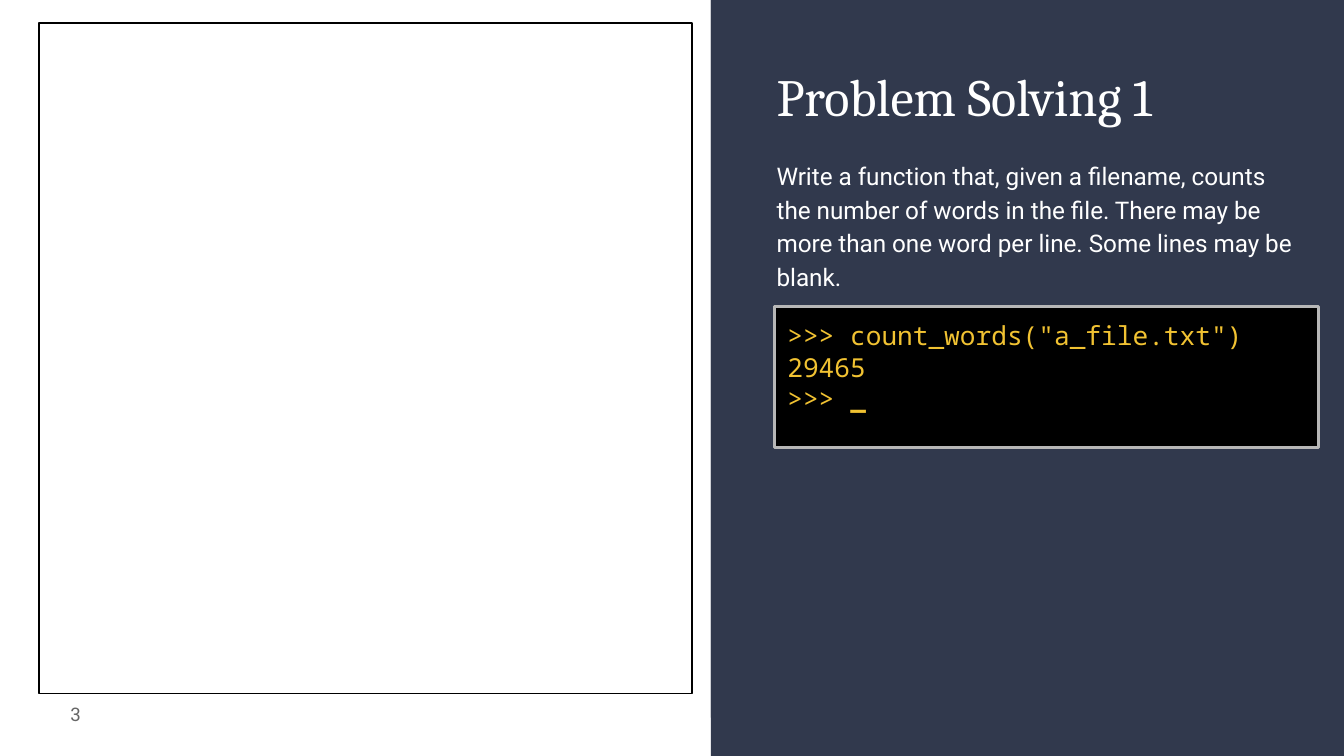
from typing import NamedTuple, Optional

from pptx import Presentation
from pptx import util as u
from pptx.dml.color import RGBColor
from pptx.enum import shapes, text

NAVY = RGBColor(0x31, 0x39, 0x4D)
WHITE = RGBColor(0xFF, 0xFF, 0xFF)
BLACK = RGBColor(0x00, 0x00, 0x00)
GREY = RGBColor(0x66, 0x66, 0x66)
SILVER = RGBColor(0xB7, 0xB7, 0xB7)
AMBER = RGBColor(0xF1, 0xC2, 0x32)

PAGE_WIDTH = 10
PAGE_HEIGHT = PAGE_WIDTH * 9 / 16


class Area(NamedTuple):
    left: float
    top: float
    width: float
    height: float


class Span(NamedTuple):
    words: str
    bold: bool = False


class Style(NamedTuple):
    font: str
    size: float
    color: RGBColor
    align: text.PP_ALIGN = text.PP_ALIGN.LEFT
    anchor: text.MSO_ANCHOR = text.MSO_ANCHOR.TOP
    line_spacing: float = 1.0
    space_after: float = 0


def paint(shape, fill: Optional[RGBColor], line: Optional[RGBColor] = None,
          weight: float = 0) -> None:
    shape.shadow.inherit = False
    if fill is None:
        shape.fill.background()
    else:
        shape.fill.solid()
        shape.fill.fore_color.rgb = fill
    if line is None:
        shape.line.fill.background()
    else:
        shape.line.color.rgb = line
        shape.line.width = u.Pt(weight)


def add_rectangle(page, area: Area, fill: Optional[RGBColor],
                  line: Optional[RGBColor] = None, weight: float = 0):
    box = page.shapes.add_shape(shapes.MSO_SHAPE.RECTANGLE, *map(u.Inches, area))
    paint(box, fill, line, weight)
    return box


def write(box, lines: list[list[Span]], style: Style) -> None:
    frame = box.text_frame
    frame.word_wrap = True
    frame.vertical_anchor = style.anchor
    frame.margin_left = frame.margin_right = u.Inches(0.1)
    frame.margin_top = frame.margin_bottom = u.Inches(0.1)
    for index, spans in enumerate(lines):
        para = frame.add_paragraph() if index else frame.paragraphs[0]
        para.alignment = style.align
        para.line_spacing = style.line_spacing
        para.space_after = u.Pt(style.space_after)
        for item in spans:
            span = para.add_run()
            span.text = item.words
            span.font.name = style.font
            span.font.size = u.Pt(style.size)
            span.font.bold = item.bold
            span.font.color.rgb = style.color


def add_text(page, area: Area, words: str, style: Style) -> None:
    box = page.shapes.add_textbox(*map(u.Inches, area))
    write(box, [[Span(words)]], style)


def main() -> None:
    deck = Presentation()
    deck.slide_width, deck.slide_height = u.Inches(PAGE_WIDTH), u.Inches(PAGE_HEIGHT)
    page = deck.slides.add_slide(deck.slide_layouts[6])

    # Dark panel with its slanted overlay
    panel = Area(5.29, 0, 4.72, PAGE_HEIGHT)
    add_rectangle(page, panel, NAVY)
    left, right = panel.left, panel.left + panel.width
    outline = page.shapes.build_freeform(u.Inches(left), 0)
    outline.add_line_segments(
        [(u.Inches(x), u.Inches(y)) for x, y in ((right, 0), (right, 3.84), (left, 5.34))],
        close=True)
    paint(outline.convert_to_shape(), NAVY)

    # Title and task
    add_text(page, Area(5.68, 0.38, 4.05, 0.7), "Problem Solving 1",
             Style("Cambria", 28, WHITE))
    add_text(page, Area(5.68, 1.07, 4.05, 1.01),
             "Write a function that, given a filename, counts the number of words in "
             "the file. There may be more than one word per line. Some lines may be blank.",
             Style("Roboto", 13, WHITE, line_spacing=1.15, space_after=16))

    # Slide number
    add_text(page, Area(0.1, 5.1, 0.6, 0.43), "3",
             Style("Roboto", 10, GREY, text.PP_ALIGN.RIGHT, text.MSO_ANCHOR.MIDDLE))

    # Empty answer frame
    add_rectangle(page, Area(0.29, 0.17, 4.86, 4.99), None, BLACK, 0.75)

    # Console session
    console = add_rectangle(page, Area(5.76, 2.28, 4.05, 1.05), BLACK, SILVER, 1.5)
    write(console,
          [[Span('>>> count_words("a_file.txt")')],
           [Span("29465")],
           [Span(">>> "), Span("_", bold=True)]],
          Style("Noto Sans Mono", 14, AMBER))

    deck.save("out.pptx")


if __name__ == "__main__":
    main()
